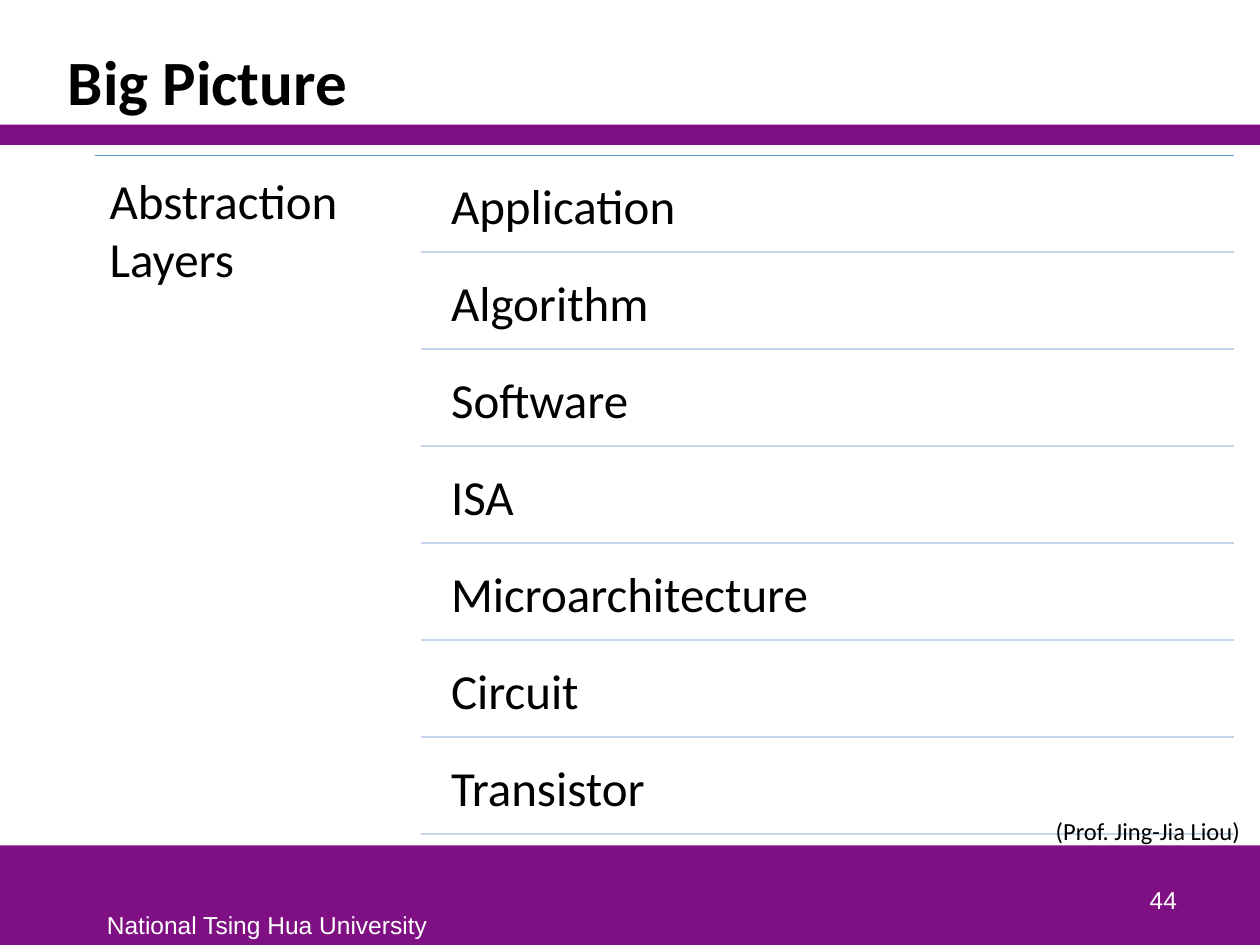
from lxml import etree
from pptx import Presentation
from pptx.dml.color import RGBColor
from pptx.enum.shapes import MSO_CONNECTOR, MSO_SHAPE
from pptx.enum.text import MSO_ANCHOR as Anchor, PP_ALIGN as Align
from pptx.oxml.ns import qn
from pptx.util import Inches, Pt

COLORS = {
    "band": "7F1084",
    "top_rule": "5B9BD5",
    "layer_rule": "C4D5EB",
    "ink": "000000",
    "light": "FFFFFF",
}

deck = Presentation()
deck.slide_width = Inches(10)
deck.slide_height = Inches(7.5)
slide = deck.slides.add_slide(deck.slide_layouts[6])


def add_text(text, left, top, width, height, size=28, font="Calibri", color="ink",
             bold=False, align=Align.LEFT, anchor=Anchor.TOP, wrap=True,
             inset=None, spacing=None):
    box = slide.shapes.add_textbox(Inches(left), Inches(top), Inches(width), Inches(height))
    frame = box.text_frame
    frame.word_wrap = wrap
    frame.vertical_anchor = anchor
    if inset is not None:
        frame.margin_left = frame.margin_right = Inches(inset)
        frame.margin_top = frame.margin_bottom = Inches(inset)
    line = frame.paragraphs[0]
    line.alignment = align
    line.line_spacing = spacing
    run = line.add_run()
    run.text = text
    run.font.size = Pt(size)
    run.font.name = font
    run.font.bold = bold
    run.font.color.rgb = RGBColor.from_string(COLORS[color])


def add_rule(left, right, y, color, weight):
    rule = slide.shapes.add_connector(
        MSO_CONNECTOR.STRAIGHT, Inches(left), Inches(y), Inches(right), Inches(y))
    rule.line.color.rgb = RGBColor.from_string(COLORS[color])
    rule.line.width = Pt(weight)
    etree.SubElement(rule._element.spPr, qn("a:effectLst"))


for band_top, band_height in ((6.71, 0.79), (0.99, 0.16)):
    band = slide.shapes.add_shape(
        MSO_SHAPE.RECTANGLE, 0, Inches(band_top), deck.slide_width, Inches(band_height))
    band.shadow.inherit = False
    band.fill.solid()
    band.fill.fore_color.rgb = RGBColor.from_string(COLORS["band"])
    band.line.fill.background()

add_text("National Tsing Hua University", 0.75, 7.17, 2.76, 0.33,
         size=14, font="Arial", color="light", wrap=False)
add_text("Big Picture", 0.44, 0.25, 9.12, 0.74,
         size=36, bold=True, anchor=Anchor.BOTTOM, spacing=0.85)

grid_left, grid_right, grid_top = 0.75, 9.79, 1.23
layer_left, row_height, row_gap, inset = 3.34, 0.77, 0.04, 0.12
layers = ["Application", "Algorithm", "Software", "ISA",
          "Microarchitecture", "Circuit", "Transistor"]

add_rule(grid_left, grid_right, grid_top, "top_rule", 0.5)
add_text("Abstraction Layers", grid_left, grid_top, layer_left - grid_left,
         row_height * len(layers) + row_gap, inset=inset)

for row, layer in enumerate(layers):
    row_top = grid_top + row_gap + row * row_height
    add_text(layer, layer_left + inset, row_top, grid_right - layer_left - inset,
             row_height - row_gap, inset=inset)
    add_rule(layer_left, grid_right, row_top + row_height - row_gap, "layer_rule", 1)

add_text("44", 7.36, 6.81, 2.08, 0.5, size=14, font="Arial", color="light",
         align=Align.RIGHT, anchor=Anchor.BOTTOM)
add_text("(Prof. Jing-Jia Liou)", 8.28, 6.43, 1.68, 0.34, size=14, wrap=False)

deck.save("out.pptx")
